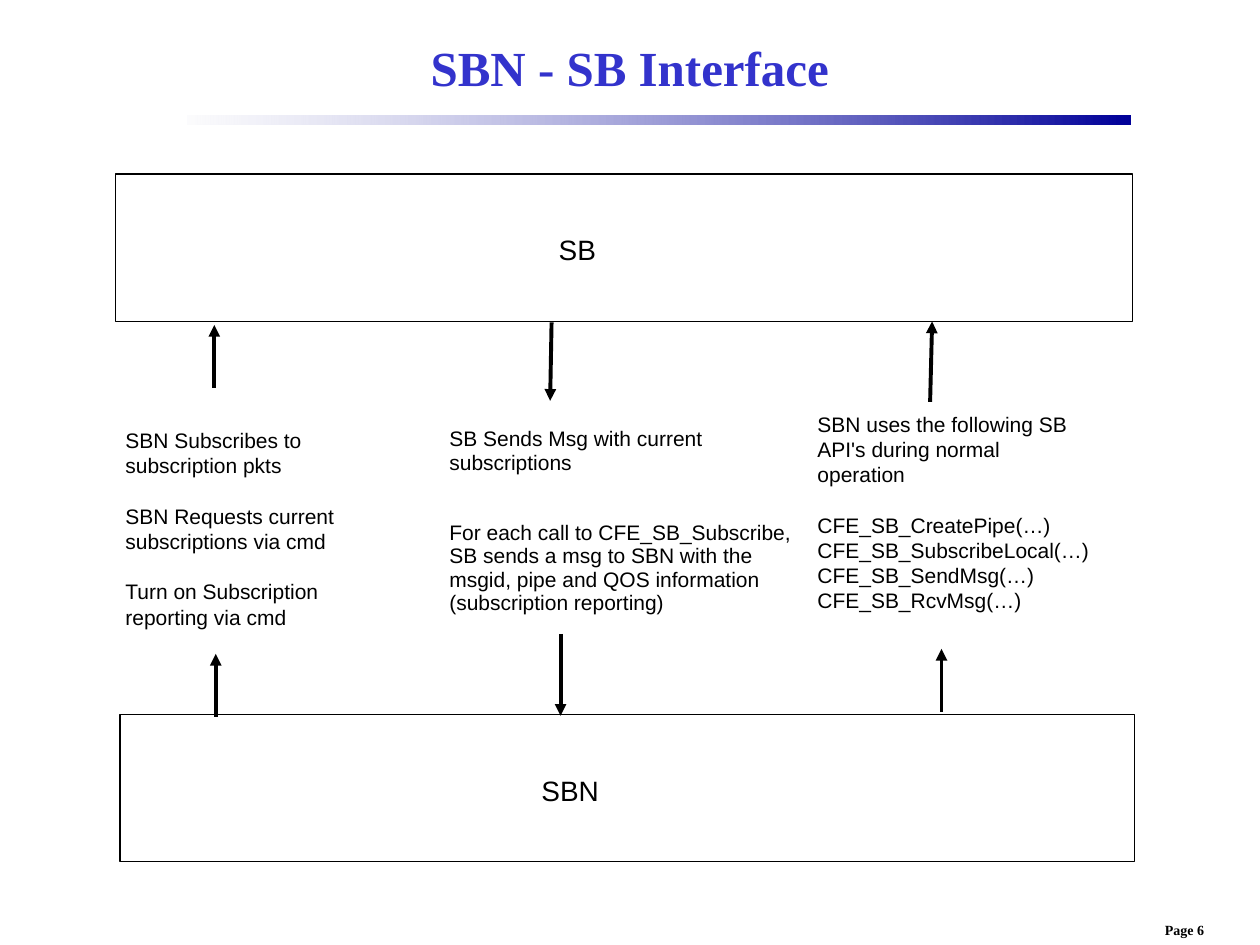
"""Build the slide that shows the interface between SBN and SB."""
from lxml import etree
from pptx import Presentation, util as u
from pptx.dml.color import RGBColor
from pptx.enum import shapes, text
from pptx.oxml.ns import qn

TITLE = ("SBN - SB Interface", (6.13, 0.62, 13.13, 1.45))
PAGE = ("Page 6", (22.66, 18.46, 2.44, 0.58))
BAR = (3.78, 2.33, 19.02, 0.19)

BOXES = [
    ("SB", (2.33, 3.51, 20.5, 2.97), (11.02, 4.56, 1.24, 0.94)),
    ("SBN", (2.42, 14.4, 20.45, 2.97), (10.67, 15.47, 1.65, 0.94)),
]

NOTES = [
    ((2.28, 8.5, 4.9, 4.32), True, 14.4, 14.4, [
        ["SBN Subscribes to subscription pkts"],
        ["SBN Requests current subscriptions via cmd"],
        ["Turn on Subscription reporting via cmd"],
    ]),
    ((8.81, 8.49, 7.42, 4.04), False, 13.4, 26.8, [
        ["SB Sends Msg with current", "subscriptions"],
        ["For each call to CFE_SB_Subscribe,", "SB sends a msg to SBN with the",
         "msgid, pipe and QOS information", "(subscription reporting)"],
    ]),
    ((16.23, 8.17, 6.02, 4.32), True, 14.4, 14.4, [
        ["SBN uses the following SB API's during normal operation"],
        ["CFE_SB_CreatePipe(…)", "CFE_SB_SubscribeLocal(…)",
         "CFE_SB_SendMsg(…)", "CFE_SB_RcvMsg(…)"],
    ]),
]

ARROWS = [
    (4.32, 7.82, 4.32, 6.55), (4.35, 14.45, 4.35, 13.18),
    (11.12, 6.5, 11.09, 8.08), (11.3, 12.78, 11.3, 14.43),
    (18.75, 8.1, 18.79, 6.48), (18.98, 14.35, 18.98, 13.08),
]


def cm(spot):
    return [u.Cm(x) for x in spot]


def tint(code):
    return RGBColor.from_string(code)


def write(shape, groups, size=12, font="Arial", color="000000", bold=False,
          align="LEFT", anchor="MIDDLE", wrap=True, line=None, gap=0):
    frame = shape.text_frame
    frame.word_wrap = wrap
    frame.auto_size = text.MSO_AUTO_SIZE.NONE
    frame.vertical_anchor = text.MSO_ANCHOR[anchor]
    rows = [(row, gap if g and not i else 0)
            for g, group in enumerate(groups) for i, row in enumerate(group)]
    for n, (row, space) in enumerate(rows):
        para = frame.add_paragraph() if n else frame.paragraphs[0]
        para.alignment = text.PP_ALIGN[align]
        para.space_before = u.Pt(space)
        if line:
            para.line_spacing = u.Pt(line)
        run = para.add_run()
        run.text = row
        run.font.size, run.font.name, run.font.bold = u.Pt(size), font, bold
        run.font.color.rgb = tint(color)


def block(slide, spot):
    shape = slide.shapes.add_shape(shapes.MSO_SHAPE.RECTANGLE, *cm(spot))
    shape.shadow.inherit = False
    return shape


def fade(slide):
    bar = block(slide, BAR)
    bar.line.fill.background()
    bar.fill.gradient()
    bar.fill.gradient_angle = 180
    for stop, code in zip(bar.fill.gradient_stops, ("000099", "F8F8FB")):
        stop.color.rgb = tint(code)
    pale = bar.element.xpath(".//a:gs/a:srgbClr")[-1]
    etree.SubElement(pale, qn("a:alpha")).set("val", "50000")


def arrow(slide, ends):
    link = slide.shapes.add_connector(shapes.MSO_CONNECTOR.STRAIGHT, *cm(ends))
    link.line.width = u.Pt(2.25)
    link.line.color.rgb = tint("000000")
    props = link.element.spPr
    etree.SubElement(props.find(qn("a:ln")), qn("a:tailEnd")).set("type", "triangle")
    etree.SubElement(props, qn("a:effectLst"))


def main():
    deck = Presentation()
    deck.slide_width, deck.slide_height = cm((25.4, 19.05))
    slide = deck.slides.add_slide(deck.slide_layouts[5])
    add = slide.shapes.add_textbox

    name, spot = TITLE
    head = slide.shapes.title
    head.left, head.top, head.width, head.height = cm(spot)
    write(head, [[name]], size=28, font="Times New Roman", color="3333CC",
          bold=True, align="CENTER")
    fade(slide)

    for name, spot, label in BOXES:
        box = block(slide, spot)
        box.fill.background()
        box.line.color.rgb = tint("000000")
        box.line.width = u.Pt(0.75)
        write(add(*cm(label)), [[name]], size=16, align="CENTER", wrap=False)

    for spot, wrap, line, gap, groups in NOTES:
        write(add(*cm(spot)), groups, anchor="TOP", wrap=wrap, line=line, gap=gap)

    for ends in ARROWS:
        arrow(slide, ends)

    name, spot = PAGE
    write(add(*cm(spot)), [[name]], size=8, font="Times New Roman", bold=True,
          align="CENTER", anchor="TOP", wrap=False)
    deck.save("out.pptx")


if __name__ == "__main__":
    main()
